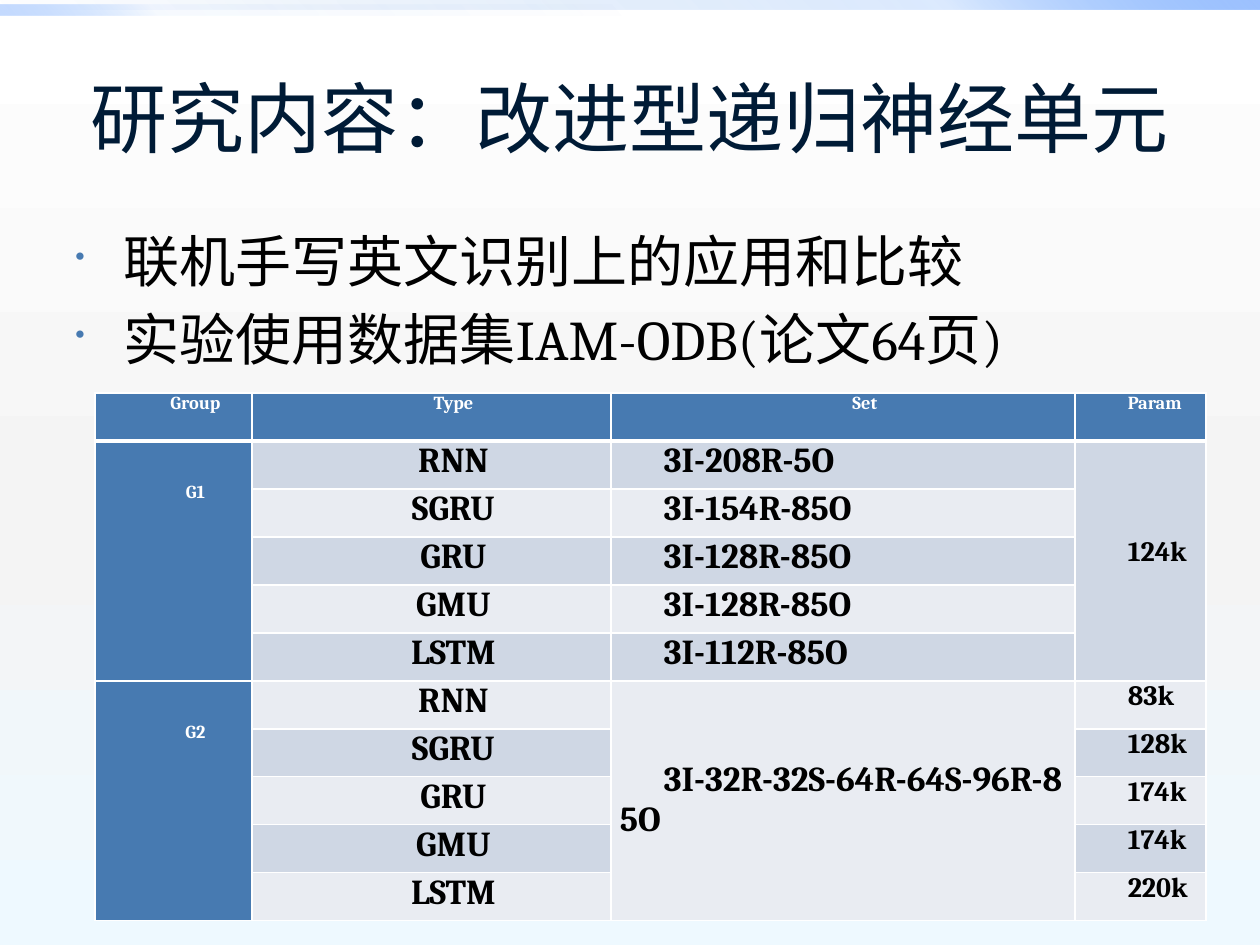
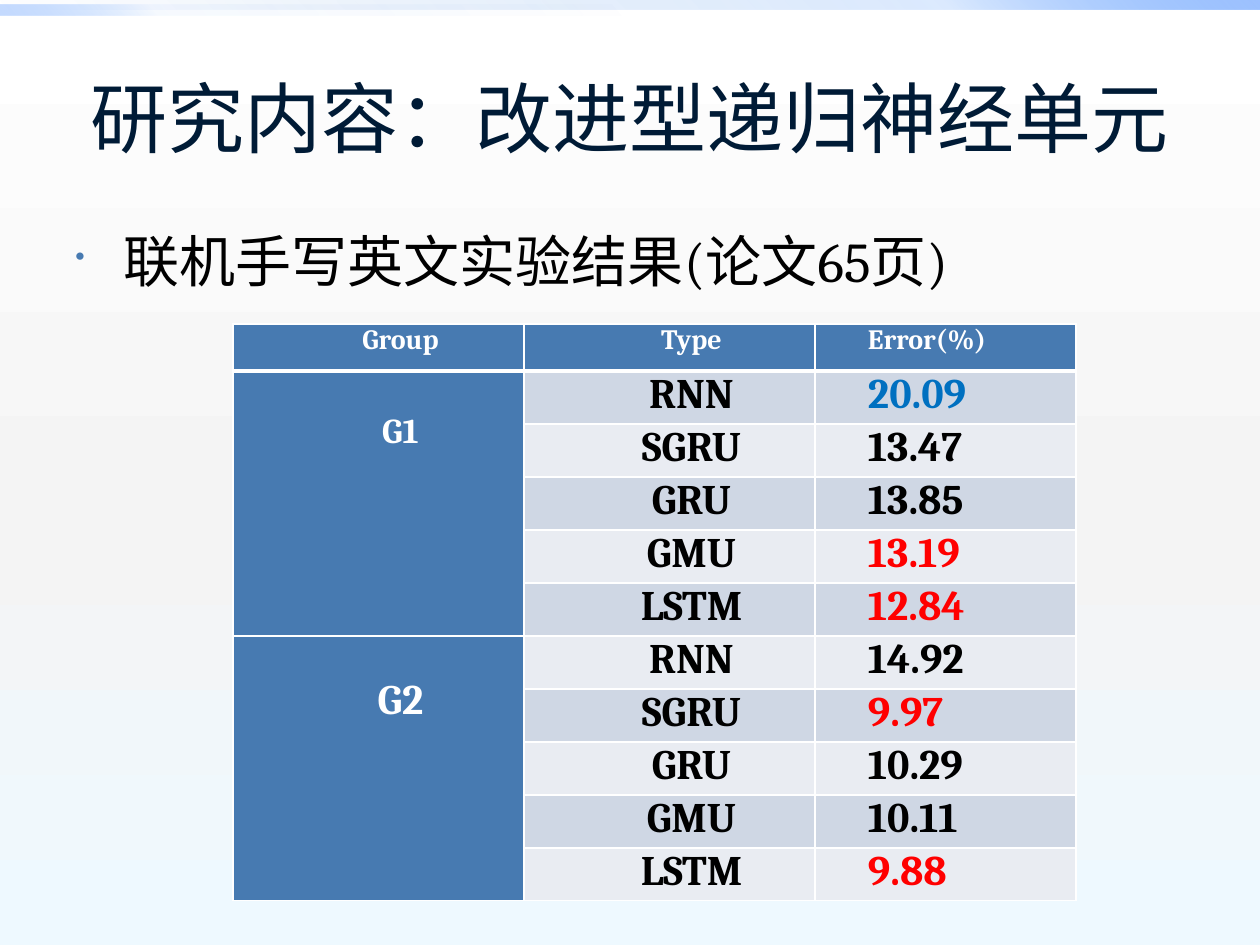
from dataclasses import dataclass

from pptx import Presentation
from pptx.dml.color import RGBColor
from pptx.enum.shapes import MSO_SHAPE as Shape
from pptx.enum.text import MSO_ANCHOR as Anchor, PP_ALIGN as Align
from pptx.oxml import parse_xml
from pptx.oxml.ns import nsdecls, qn
from pptx.util import Pt

SCALE = 914400 / 126


@dataclass(frozen=True)
class Theme:
    title_font: str = "Arial"
    body_font: str = "Cambria"
    title: str = "001B36"
    text: str = "000000"
    white: str = "FFFFFF"
    accent: str = "477AB1"
    bands: tuple = ("E9ECF2", "CFD7E4")
    worst: str = "0070C0"
    best: str = "FF0000"
    title_size: float = 44
    body_size: float = 32
    large: float = 24
    medium: float = 20
    small: float = 16
    tiny: float = 10.5


THEME = Theme()
BACKGROUND = ((0, "FFFFFF", 100), (55, "F4F4F4", 100), (100, "EEF9FF", 100))
TOP_BAND = ((0, "0058B7", 0), (75, "4F95FF", 20), (100, "9EC2FF", 100))
LEFT_BAND = ((0, "0058B7", 0), (75, "4F95FF", 5), (100, "9EC2FF", 60))
TITLE = "研究内容：改进型递归神经单元"
UNITS = ("RNN", "SGRU", "GRU", "GMU", "LSTM")
GROUP_ROWS = ((1, 5), (6, 10))
INDENT = 44
GROUP_DROP = 41


def px(length):
    return round(length * SCALE)


def px_box(box):
    return [px(length) for length in box]


def write(para, text, size, color, font=THEME.body_font, bold=False,
          align=Align.LEFT, indent=0):
    para.alignment = align
    if indent:
        para._p.get_or_add_pPr().set("indent", str(px(indent)))
    span = para.add_run()
    span.text = text
    span.font.name = font
    span.font.size = Pt(size)
    span.font.bold = bold
    span.font.color.rgb = RGBColor.from_string(color)


def set_gradient(fill, holder, stops, angle):
    fill.solid()
    marks = "".join(
        f'<a:gs pos="{place * 1000}"><a:srgbClr val="{color}">'
        f'<a:alpha val="{opacity * 1000}"/></a:srgbClr></a:gs>'
        for place, color, opacity in stops)
    gradient = parse_xml(
        f'<a:gradFill {nsdecls("a")} rotWithShape="1"><a:gsLst>{marks}</a:gsLst>'
        f'<a:lin ang="{angle * 60000}" scaled="0"/></a:gradFill>')
    holder = holder()
    holder.replace(holder.find(qn("a:solidFill")), gradient)


def add_band(page, box, stops, angle):
    band = page.shapes.add_shape(Shape.RECTANGLE, *px_box(box))
    band.shadow.inherit = False
    band.line.fill.background()
    set_gradient(band.fill, lambda: band._element.spPr, stops, angle)


def add_text_box(page, box):
    frame = page.shapes.add_textbox(*px_box(box)).text_frame
    frame.word_wrap = True
    return frame


def add_title(page, box):
    frame = add_text_box(page, box)
    frame.vertical_anchor = Anchor.MIDDLE
    write(frame.paragraphs[0], TITLE, THEME.title_size, THEME.title,
          font=THEME.title_font, align=Align.CENTER)


def add_bullets(page, box, lines):
    frame = add_text_box(page, box)
    for index, line in enumerate(lines):
        para = frame.add_paragraph() if index else frame.paragraphs[0]
        write(para, line, THEME.body_size, THEME.text, indent=-48)
        para.space_before = Pt(THEME.body_size * 0.2)
        properties = para._p.get_or_add_pPr()
        properties.set("marL", str(px(48)))
        for mark in (f'<a:buClr {nsdecls("a")}><a:srgbClr val="{THEME.accent}"/></a:buClr>',
                     f'<a:buSzPct {nsdecls("a")} val="50000"/>',
                     f'<a:buChar {nsdecls("a")} char="•"/>'):
            properties.append(parse_xml(mark))


def add_page(deck, lines):
    page = deck.slides.add_slide(deck.slide_layouts[6])
    set_gradient(page.background.fill,
                 lambda: page._element.find(".//" + qn("p:bgPr")), BACKGROUND, 90)
    add_band(page, (0, 0, 1260, 10), TOP_BAND, 315)
    add_band(page, (0, 5, 630, 10), LEFT_BAND, 135)
    add_title(page, (63, 38, 1134, 157))
    add_bullets(page, (63, 220, 1140, 173), lines)
    return page


def set_borders(cell, row):
    widths = {"L": 1, "R": 1, "T": 3 if row == 1 else 1, "B": 1 if row else 3}
    properties = cell._tc.get_or_add_tcPr()
    for place, (side, width) in enumerate(widths.items()):
        properties.insert(place, parse_xml(
            f'<a:ln{side} {nsdecls("a")} w="{Pt(width)}"><a:solidFill>'
            f'<a:srgbClr val="{THEME.white}"/></a:solidFill></a:ln{side}>'))


def add_grid(page, corner, columns, header, row_height):
    heights = [header] + [row_height] * (2 * len(UNITS))
    box = (*corner, sum(columns), sum(heights))
    table = page.shapes.add_table(len(heights), len(columns), *px_box(box)).table
    for column, width in zip(table.columns, columns):
        column.width = px(width)
    for index, (row, height) in enumerate(zip(table.rows, heights)):
        row.height = px(height)
        for column, cell in enumerate(row.cells):
            accent = index == 0 or column == 0
            cell.fill.solid()
            cell.fill.fore_color.rgb = RGBColor.from_string(
                THEME.accent if accent else THEME.bands[index % 2])
            cell.margin_left = cell.margin_right = px(9)
            cell.margin_top = cell.margin_bottom = 0
            set_borders(cell, index)
    return table


def fill_cell(table, row, column, text, size, color=THEME.text,
              align=Align.LEFT, last_row=None, drop=0):
    cell = table.cell(row, column)
    if last_row:
        cell.merge(table.cell(last_row, column))
    cell.margin_top = px(drop)
    write(cell.text_frame.paragraphs[0], text, size, color, bold=True,
          align=align, indent=INDENT)


def fill_labels(table, headings, heading_size, group_sizes, unit_size):
    last = len(headings) - 1
    for column, heading in enumerate(headings):
        fill_cell(table, 0, column, heading, heading_size, THEME.white,
                  Align.LEFT if column == last else Align.CENTER)
    for number, (rows, size) in enumerate(zip(GROUP_ROWS, group_sizes), 1):
        fill_cell(table, rows[0], 0, f"G{number}", size, THEME.white,
                  Align.CENTER, last_row=rows[1], drop=GROUP_DROP)
    for row, unit in enumerate(UNITS * 2, 1):
        fill_cell(table, row, 1, unit, unit_size, align=Align.CENTER)


def add_setup_table(page, corner):
    table = add_grid(page, corner, (157, 359, 464, 131), 48, 48)
    fill_labels(table, ("Group", "Type", "Set", "Param"), THEME.tiny,
                (THEME.tiny, THEME.tiny), THEME.medium)
    sets = ("3I-208R-5O", "3I-154R-85O", "3I-128R-85O", "3I-128R-85O", "3I-112R-85O")
    for row, layers in enumerate(sets, 1):
        fill_cell(table, row, 2, layers, THEME.medium)
    fill_cell(table, 6, 2, "3I-32R-32S-64R-64S-96R-85O", THEME.medium,
              last_row=10, drop=79)
    fill_cell(table, 1, 3, "124k", THEME.small, last_row=5, drop=95)
    for row, count in enumerate(("83k", "128k", "174k", "174k", "220k"), 6):
        fill_cell(table, row, 3, count, THEME.small)


def add_result_table(page, corner):
    table = add_grid(page, corner, (291, 291, 261), 47, 53)
    fill_labels(table, ("Group", "Type", "Error(%)"), THEME.small,
                (THEME.medium, THEME.large), THEME.large)
    errors = ("20.09", "13.47", "13.85", "13.19", "12.84",
              "14.92", "9.97", "10.29", "10.11", "9.88")
    colors = {"20.09": THEME.worst}
    colors.update(dict.fromkeys(("13.19", "12.84", "9.97", "9.88"), THEME.best))
    for row, error in enumerate(errors, 1):
        fill_cell(table, row, 2, error, THEME.large, colors.get(error, THEME.text))


def main():
    deck = Presentation()
    deck.slide_width, deck.slide_height = px(1260), px(945)
    setup = add_page(deck, ("联机手写英文识别上的应用和比较",
                            "实验使用数据集IAM-ODB(论文64页)"))
    add_setup_table(setup, (95, 393))
    results = add_page(deck, ("联机手写英文实验结果(论文65页)",))
    add_result_table(results, (233, 324))
    deck.save("out.pptx")


if __name__ == "__main__":
    main()
